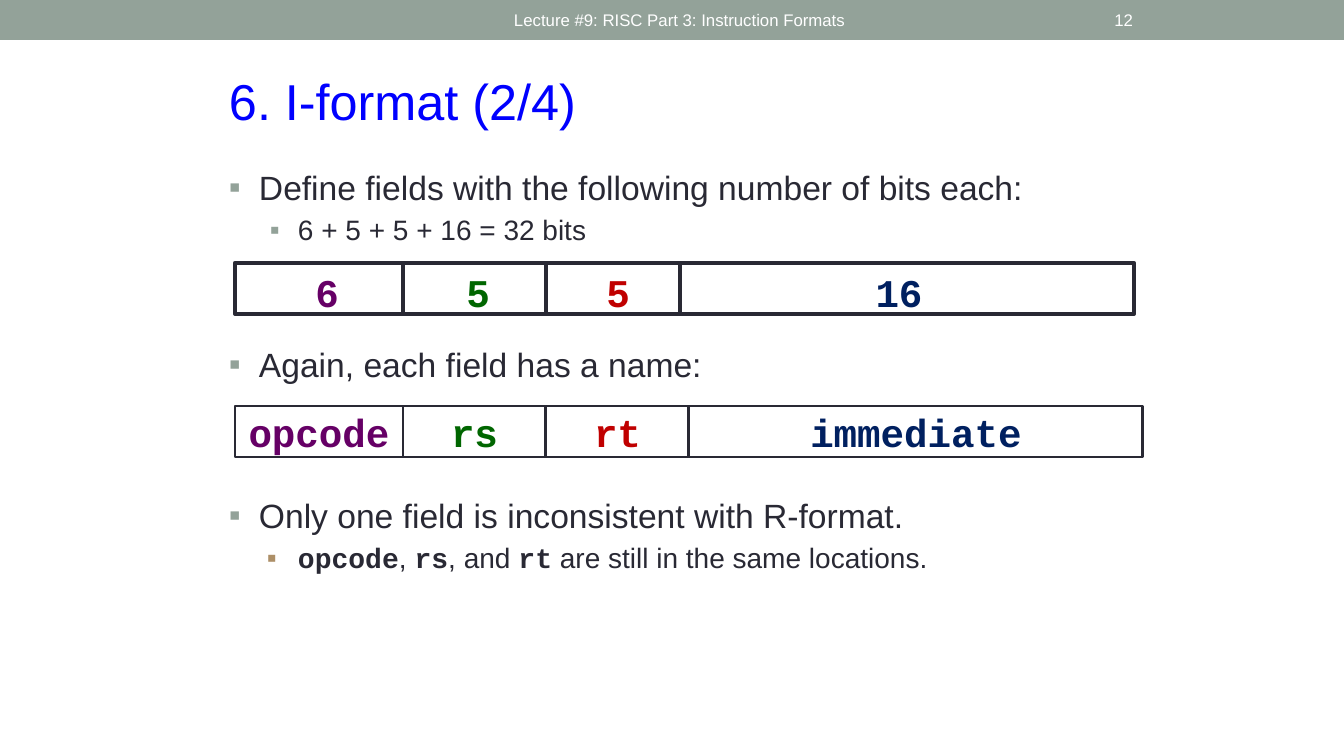
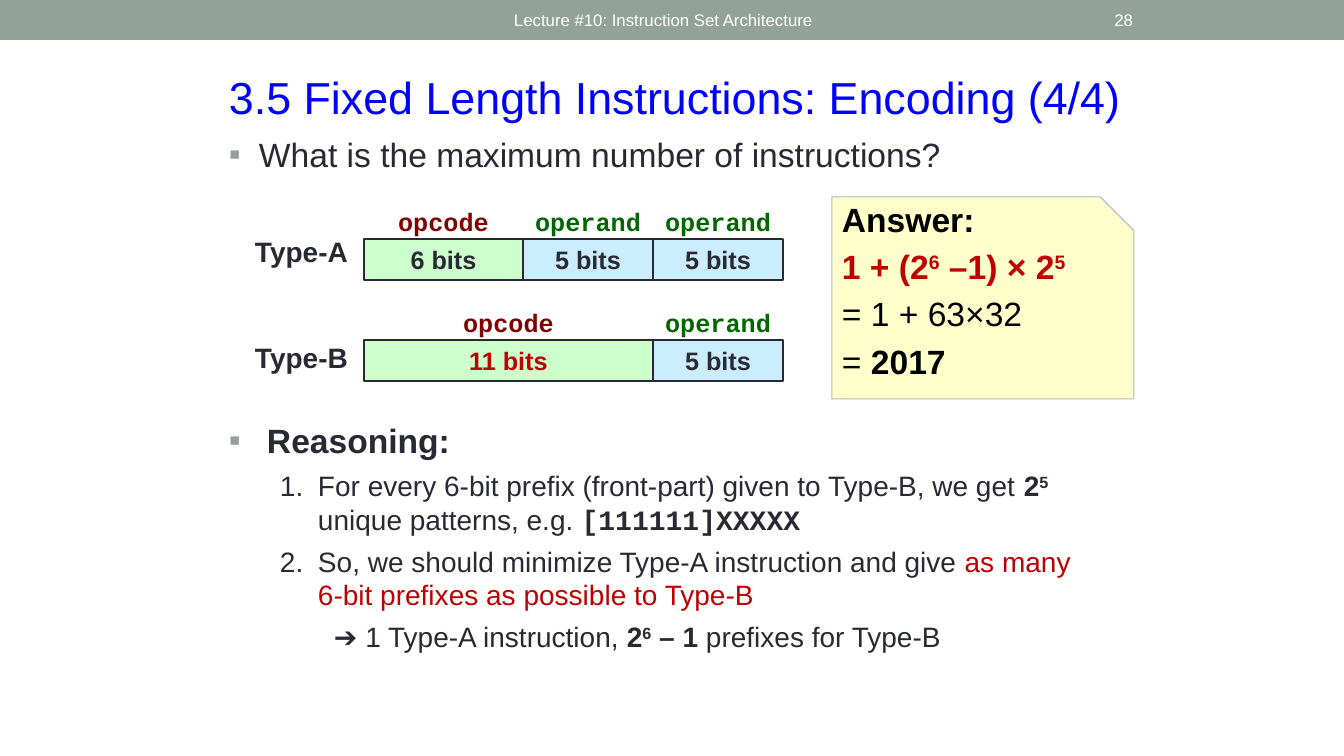
import pptx
import pptx.dml.color
import pptx.enum.shapes
import pptx.enum.text
import pptx.oxml.ns
import pptx.util
from lxml import etree

SHAPE = pptx.enum.shapes.MSO_SHAPE
ALIGN = pptx.enum.text.PP_ALIGN
ANCHOR = pptx.enum.text.MSO_ANCHOR
qn = pptx.oxml.ns.qn

COLORS = {
    "sage": "93A299", "tan": "AD8F67", "ink": "292934", "title": "0000FF",
    "white": "FFFFFF", "black": "000000", "purple": "660066", "green": "006600",
    "red": "C00000", "navy": "002060", "maroon": "800000", "mint": "CCFFCC",
    "sky": "CCECFF", "note": "FFFFCC", "note edge": "B3BBC6",
}
MONO = "Courier New"


def px(length):
    return pptx.util.Emu(round(length * 914400 / 100.8))


def place(slide, text, at, kind=None, fill=None, line=None, line_width=1,
          size=24, font="Arial", color="ink", bold=False, align=ALIGN.LEFT,
          anchor=ANCHOR.TOP, insets=(10, 5, 10, 5), gap=4, wrap=True):
    """Place text in a text box, a preset shape or the slide's title.

    text is a string or a list of (runs, paragraph format) pairs; a run is
    a string or a (string, run format) pair.
    """
    bounds = [px(length) for length in at]
    if kind == "title":
        shape = slide.shapes.title
        shape.left, shape.top, shape.width, shape.height = bounds
    elif kind is None:
        shape = slide.shapes.add_textbox(*bounds)
    else:
        shape = slide.shapes.add_shape(kind, *bounds)
        shape.shadow.inherit = False
        if fill:
            shape.fill.solid()
            shape.fill.fore_color.rgb = pptx.dml.color.RGBColor.from_string(COLORS[fill])
        else:
            shape.fill.background()
        if line:
            shape.line.color.rgb = pptx.dml.color.RGBColor.from_string(COLORS[line])
            shape.line.width = pptx.util.Pt(line_width)
        else:
            shape.line.fill.background()
    if not text:
        return shape

    frame = shape.text_frame
    frame.auto_size = pptx.enum.text.MSO_AUTO_SIZE.NONE
    frame.word_wrap = wrap
    frame.vertical_anchor = anchor
    (frame.margin_left, frame.margin_top,
     frame.margin_right, frame.margin_bottom) = [px(inset) for inset in insets]

    for index, (runs, style) in enumerate([([text], {})] if isinstance(text, str) else text):
        paragraph = frame.paragraphs[0] if index == 0 else frame.add_paragraph()
        paragraph.alignment = align
        paragraph.level = style.get("level", 0)
        paragraph.space_before = pptx.util.Pt(gap if index else 0)
        props = paragraph._p.get_or_add_pPr()
        props.set("marL", str(px(style.get("left", 0))))
        props.set("indent", str(px(-style.get("hang", 0))))
        if "bullet" in style:
            tint = etree.SubElement(props, qn("a:buClr"))
            etree.SubElement(tint, qn("a:srgbClr"), val=COLORS[style["tint"]])
            etree.SubElement(props, qn("a:buFont"), typeface="Arial")
            etree.SubElement(props, qn("a:buChar"), char=style["bullet"])
        elif style.get("numbered"):
            etree.SubElement(props, qn("a:buAutoNum"), type="arabicPeriod")
        for part in runs:
            words, look = (part, {}) if isinstance(part, str) else part
            run = paragraph.add_run()
            run.text = words
            run.font.size = pptx.util.Pt(style.get("size", size))
            run.font.name = look.get("font", font)
            run.font.bold = look.get("bold", bold)
            run.font.color.rgb = pptx.dml.color.RGBColor.from_string(
                COLORS[look.get("color", color)])
            if look.get("raised"):
                run._r.get_or_add_rPr().set("baseline", "30000")
    return shape


# Paragraph and run styles
POINT = dict(left=30, hang=30, bullet="▪", tint="sage")
SUBPOINT = dict(level=1, size=20, left=69, hang=28, bullet="▪", tint="sage")
STEP = dict(level=1, size=20, left=89, hang=38, numbered=True)
BOLD = dict(bold=True)
CODE = dict(bold=True, font=MONO)
POWER = dict(bold=True, raised=True)

deck = pptx.Presentation()
deck.slide_width, deck.slide_height = px(1344), px(756)
title_only = deck.slide_layouts[5]

# Titles and headers
slides = []
for title, title_size, title_height, lecture, number in [
    ("6. I-format (2/4)", 36, 72, "Lecture #9: RISC Part 3: Instruction Formats", "12"),
    ("3.5 Fixed Length Instructions: Encoding (4/4)", 32, 64,
     "Lecture #10: Instruction Set Architecture", "28"),
]:
    slide = deck.slides.add_slide(title_only)
    place(slide, title, (219, 65, 924, title_height), "title", size=title_size, color="title")
    place(slide, lecture, (504, 2, 605, 36), size=12, color="white", anchor=ANCHOR.MIDDLE)
    place(slide, number, (1047, 2, 96, 36), size=12, color="white",
          align=ALIGN.RIGHT, anchor=ANCHOR.MIDDLE)
    slides.append(slide)
format_slide, encoding_slide = slides

# Header band, shared through the layout
band = place(format_slide, None, (0, 0, 1344, 40), SHAPE.RECTANGLE, fill="sage")
title_only.shapes.element.insert(2, band.element)

# I-format: points
place(format_slide, [
    (["Define fields with the following number of bits each:"], POINT),
    (["6 + 5 + 5 + 16 = 32 bits"], SUBPOINT),
], (219, 162, 924, 101))
place(format_slide, [(["Again, each field has a name:"], POINT)], (219, 339, 924, 58))
place(format_slide, [
    (["Only one field is inconsistent with R-format."], POINT),
    ([("opcode", CODE), ", ", ("rs", CODE), ", and ", ("rt", CODE),
      " are still in the same locations."], {**SUBPOINT, "hang": 31, "tint": "tan"}),
], (219, 490, 907, 118))

# I-format: field widths
for bits, center, color in [("6", 327, "purple"), ("5", 478, "green"),
                            ("5", 618, "red"), ("16", 899, "navy")]:
    place(format_slide, bits, (center - 34, 263, 68, 57), size=28, font=MONO,
          color=color, bold=True, align=ALIGN.CENTER, wrap=False)
place(format_slide, None, (235, 263, 899, 51), SHAPE.RECTANGLE, line="ink", line_width=3)
for x in (403, 546, 680):
    divider = format_slide.shapes.add_connector(
        pptx.enum.shapes.MSO_CONNECTOR.STRAIGHT, px(x), px(263), px(x), px(314))
    divider.line.color.rgb = pptx.dml.color.RGBColor.from_string(COLORS["ink"])
    divider.line.width = pptx.util.Pt(2.25)
    etree.SubElement(divider.element.spPr, qn("a:effectLst"))

# I-format: field names
left = 235
for field, width, color in [("opcode", 168, "purple"), ("rs", 143, "green"),
                            ("rt", 143, "red"), ("immediate", 454, "navy")]:
    place(format_slide, field, (left, 406, width, 51), SHAPE.RECTANGLE, fill="white",
          line="ink", line_width=2.08, size=28, font=MONO, color=color, bold=True,
          align=ALIGN.CENTER, anchor=ANCHOR.MIDDLE, wrap=False)
    left += width

# Encoding: question
place(encoding_slide, [(["What is the maximum number of instructions?"], POINT)],
      (219, 129, 907, 93))

# Encoding: instruction types
OPERAND = ("operand", "green", "5 bits", "ink", "sky", 130)
for kind_name, name_top, top, fields in [
    ("Type-A", 230, 239,
     [("opcode", "maroon", "6 bits", "ink", "mint", 159), OPERAND, OPERAND]),
    ("Type-B", 336, 340,
     [("opcode", "maroon", "11 bits", "red", "mint", 289), OPERAND]),
]:
    place(encoding_slide, kind_name, (227, name_top, 131, 43), size=20, bold=True,
          align=ALIGN.RIGHT)
    left = 364
    for field, field_color, bits, bits_color, fill, width in fields:
        place(encoding_slide, bits, (left, top, width, 41), SHAPE.RECTANGLE, fill=fill,
              line="ink", size=18, color=bits_color, bold=True, align=ALIGN.CENTER)
        place(encoding_slide, field, (left + width / 2 - 61, top - 34, 122, 32), size=18,
              font=MONO, color=field_color, bold=True, align=ALIGN.CENTER,
              insets=(1, 1, 1, 1))
        left += width

# Encoding: answer
RED_BOLD = dict(bold=True, color="red")
RED_POWER = dict(RED_BOLD, raised=True)
place(encoding_slide, [
    ([("Answer:", BOLD)], {}),
    ([("1 + (2", RED_BOLD), ("6", RED_POWER), (" –1) × 2", RED_BOLD), ("5", RED_POWER)], {}),
    (["= 1 + 63×32"], {}),
    (["= ", ("2017", BOLD)], {}),
], (832, 197, 302, 202), SHAPE.SNIP_1_RECTANGLE, fill="note", line="note edge",
    line_width=0.75, color="black", anchor=ANCHOR.MIDDLE, insets=(10, 0, 10, 33), gap=5)

# Encoding: reasoning
place(encoding_slide, [
    ([("Reasoning:", BOLD)], {**POINT, "left": 38, "hang": 38}),
    (["For every 6-bit prefix (front-part) given to Type-B, we get ", ("2", BOLD),
      ("5", POWER), " unique patterns, e.g. ", ("[111111]XXXXX", CODE)], STEP),
    (["So, we should minimize Type-A instruction and give ",
      ("as many 6-bit prefixes as possible to Type-B", dict(color="red"))], STEP),
    (["➔ 1 Type-A instruction, ", ("2", BOLD), ("6", POWER), (" – 1", BOLD),
      " prefixes for Type-B"], dict(level=1, size=20, left=105)),
], (219, 415, 890, 269), gap=6)

deck.save("out.pptx")
